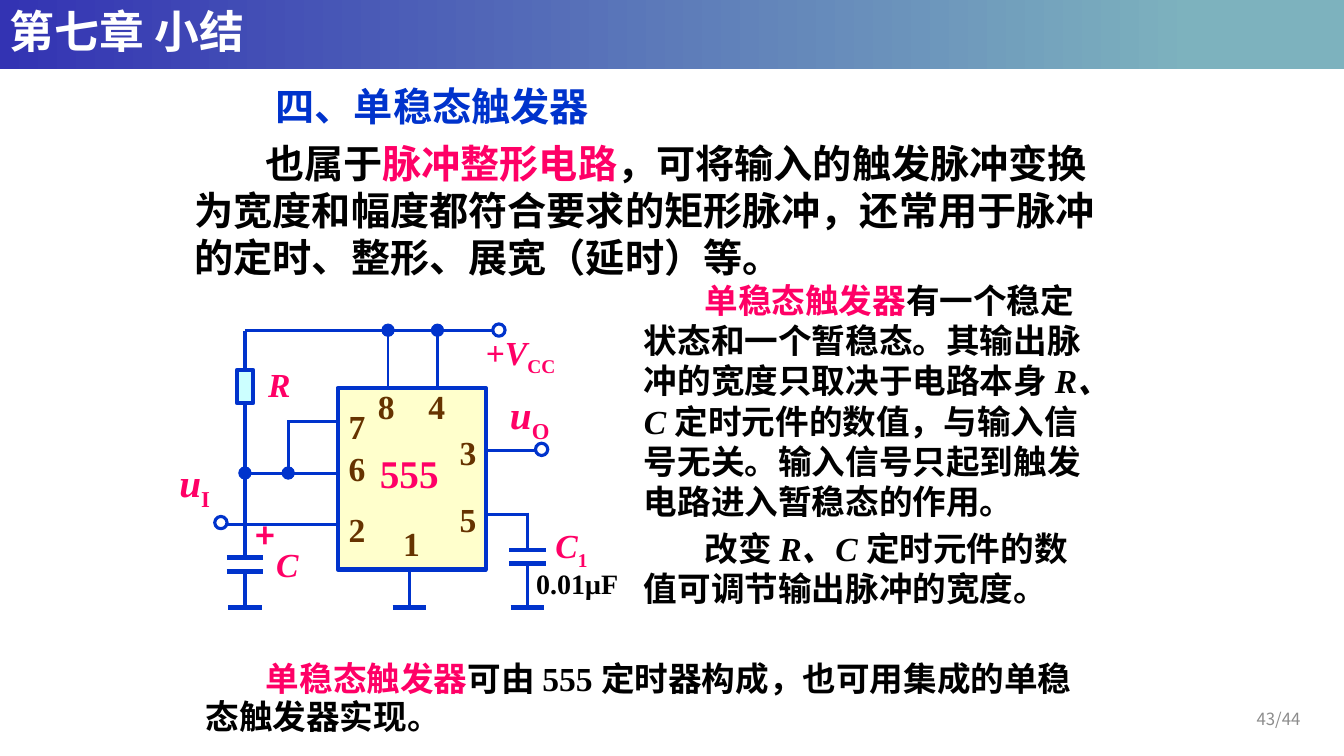
from collections import namedtuple

import pptx
import pptx.dml.color
import pptx.enum.shapes
import pptx.enum.text
import pptx.oxml
import pptx.util

Pt = pptx.util.Pt
SHAPES = pptx.enum.shapes.MSO_SHAPE
ANCHORS = pptx.enum.text.MSO_ANCHOR
ALIGN = pptx.enum.text.PP_ALIGN
Box = namedtuple("Box", "left top width height")
Run = namedtuple("Run", "text color italic sub", defaults=("000000", False, False))

SERIF, HAN = "Times New Roman", "Noto Sans CJK SC"
BLUE, PINK, BROWN, WHITE = "0033CC", "FF0066", "663300", "FFFFFF"


def color(value):
    return pptx.dml.color.RGBColor.from_string(value)


def add_run(para, run, size, face=SERIF, bold=True):
    span = para.add_run()
    span.text = run.text
    font = span.font
    font.size, font.name, font.bold, font.italic = Pt(size), face, bold, run.italic
    font.color.rgb = color(run.color)
    font.language_id = pptx.enum.lang.MSO_LANGUAGE_ID.SIMPLIFIED_CHINESE
    properties = font._element
    east = pptx.oxml.parse_xml(
        '<a:ea xmlns:a="http://schemas.openxmlformats.org/drawingml/2006/main" '
        f'typeface="{HAN}"/>')
    properties.find(pptx.oxml.ns.qn("a:latin")).addnext(east)
    if run.sub:
        properties.set("baseline", "-25000")


def add_text_box(page, box, margins=(7.2, 3.6)):
    shape = page.shapes.add_textbox(*map(Pt, box))
    frame = shape.text_frame
    frame.word_wrap = True
    frame.margin_left = frame.margin_right = Pt(margins[0])
    frame.margin_top = frame.margin_bottom = Pt(margins[1])
    return frame


def add_passage(page, box, paragraphs, size, indent=0, spacing=1.2):
    frame = add_text_box(page, box)
    frame.margin_top = Pt(3.6 + size / 10)
    for index, runs in enumerate(paragraphs):
        para = frame.add_paragraph() if index else frame.paragraphs[0]
        para.line_spacing = Pt(size * spacing)
        if indent and not index:
            para._p.get_or_add_pPr().set("indent", str(Pt(indent)))
        for run in runs:
            add_run(para, run, size)


def add_shape(page, kind, box, fill, line=BLUE, weight=3):
    shape = page.shapes.add_shape(kind, *map(Pt, box))
    shape.shadow.inherit = False
    shape.fill.solid()
    shape.fill.fore_color.rgb = color(fill)
    shape.line.color.rgb = color(line)
    shape.line.width = Pt(weight)


def add_wire(page, box, start, end, weight=2.25):
    wire = page.shapes.add_connector(
        pptx.enum.shapes.MSO_CONNECTOR.STRAIGHT,
        Pt(box.left + start[0]), Pt(box.top + start[1]),
        Pt(box.left + end[0]), Pt(box.top + end[1]))
    wire.line.color.rgb = color(BLUE)
    wire.line.width = Pt(weight)
    wire._element.spPr.append(pptx.oxml.parse_xml(
        '<a:effectLst xmlns:a="http://schemas.openxmlformats.org/drawingml/2006/main"/>'))


def add_node(page, box, center, fill, weight):
    radius = 4.4
    add_shape(page, SHAPES.OVAL,
              Box(box.left + center[0] - radius, box.top + center[1] - radius,
                  2 * radius, 2 * radius), fill, weight=weight)


def add_label(page, box, left, top, width, size, runs, face=SERIF):
    frame = add_text_box(page, Box(box.left + left, box.top + top, width, size * 1.2), (0, 0))
    for run in runs:
        add_run(frame.paragraphs[0], run, size, face)


def add_header(page, box):
    bar = page.shapes.add_shape(SHAPES.RECTANGLE, *map(Pt, box))
    bar.shadow.inherit = False
    bar.line.fill.background()
    bar.fill.gradient()
    bar.fill.gradient_angle = 0
    for stop, (position, tint) in zip(bar.fill.gradient_stops,
                                      [(0, "3333B3"), (0.89, "7DB2BE")]):
        stop.position = position
        stop.color.rgb = color(tint)
    frame = add_text_box(page, box)
    frame.vertical_anchor = ANCHORS.MIDDLE
    frame.paragraphs[0].line_spacing = 0.9
    add_run(frame.paragraphs[0], Run("第七章 小结", WHITE), 32, "Cabin")


def add_circuit(page, box):
    rail, left, loop, mid, right = 8.2, 55, 85.9, 172.5, 256.8
    chip = Box(121.2, 49.2, 105.8, 129.6)
    ground = 206
    capacitors = [(left, 170.2, 180.2), (right, 165.1, 174.5)]

    for start, end, weight in [
        ((157.2, rail), (157.2, chip.top), 2),
        ((192.5, rail), (192.5, chip.top), 2),
        ((left, rail), (232.8, rail), 2.25),
        ((left, 110.4), (chip.left, 110.4), 2.25),
        ((39.1, 146.4), (chip.left, 146.4), 2.25),
        ((loop, 73), (chip.left, 73), 2.25),
        ((loop, 110.4), (loop, 72), 2),
        ((mid, 177.4), (mid, ground), 2),
        ((left, rail), (left, 170.2), 2.25),
        ((227, 93.8), (263, 93.8), 2.25),
        ((227, 139.2), (right, 139.2), 2.25),
        ((right, 138.2), (right, 165.1), 2.25),
    ]:
        add_wire(page, box, start, end, weight)
    for center, upper, lower in capacitors:
        for plate in (upper, lower):
            add_wire(page, box, (center - 13, plate), (center + 13, plate), 3)
        add_wire(page, box, (center, lower), (center, ground))
    for center in (left, mid, right):
        add_wire(page, box, (center - 12, ground), (center + 12, ground), 3)

    resistor = Box(49.2, 36.2, 11.6, 23.8)
    for part, fill in [(chip, "FFFFCC"), (resistor, "CCFFFF")]:
        add_shape(page, SHAPES.RECTANGLE,
                  part._replace(left=box.left + part.left, top=box.top + part.top), fill)
    for joint in [(loop, 109.9), (left, 109.9), (192.5, rail - 0.3), (157.2, rail - 0.3)]:
        add_node(page, box, joint, BLUE, 0.75)
    for terminal in [(236.4, rail - 0.4), (266.9, 93), (37.8, 145.3)]:
        add_node(page, box, terminal, WHITE, 2.25)

    for pin, x, y in [("7", 129.1, 62.2), ("6", 129.1, 91.7), ("2", 129.1, 135.6),
                      ("8", 150, 47.8), ("4", 186, 47.8), ("1", 168, 145.7),
                      ("3", 208.3, 80.2), ("5", 208.3, 128.4)]:
        add_label(page, box, x, y, 13, 24, [Run(pin, BROWN)])
    add_label(page, box, 151.4, 93.1, 44, 28, [Run("555", PINK)])
    add_label(page, box, 62.2, 140, 30, 24, [Run("+", PINK)], HAN)
    add_label(page, box, 263, 176.6, 64, 20, [Run("0.01μF")])
    for symbol, sub, x, y, size in [("R", "", 71.5, 31.9, 24), ("C", "", 77.3, 160.8, 24),
                                    ("C", "1", 276.7, 147.1, 24), ("u", "O", 244.3, 50.6, 28),
                                    ("u", "I", 8.2, 99.6, 28)]:
        runs = [Run(symbol, PINK, True)]
        if sub:
            runs.append(Run(sub, PINK, sub=True))
        add_label(page, box, x, y, 36, size, runs)
    add_label(page, box, 227, 8.9, 60, 24,
              [Run("+", PINK), Run("V", PINK, True), Run("CC", PINK, sub=True)])


def add_introduction(page, box):
    add_passage(page, Box(box.left + 58, box.top, 362, 41), [[Run("四、单稳态触发器", BLUE)]], 28)
    add_passage(page, Box(box.left, box.top + 40.3, box.width, 108), [
        [Run("也属于"), Run("脉冲整形电路", PINK),
         Run("，可将输入的触发脉冲变换为宽度和幅度都符合要求的矩形脉冲，还常用于脉冲")],
        [Run("的定时、整形、展宽（延时）等。")],
    ], 28, 50.4)


def add_explanation(page, box):
    add_passage(page, box._replace(height=180), [
        [Run("单稳态触发器", PINK), Run("有一个稳定")],
        [Run("状态和一个暂稳态。其输出脉")],
        [Run("冲的宽度只取决于电路本身 "), Run("R、", italic=True)],
        [Run("C ", italic=True), Run("定时元件的数值，与输入信")],
        [Run("号无关。输入信号只起到触发")],
        [Run("电路进入暂稳态的作用。")],
    ], 24, 43.2)
    add_passage(page, box._replace(top=box.top + 177.1, height=65), [
        [Run("改变 "), Run("R、C ", italic=True), Run("定时元件的数")],
        [Run("值可调节输出脉冲的宽度。")],
    ], 24, 43.2)


def add_conclusion(page, box):
    add_passage(page, box, [
        [Run("单稳态触发器", PINK),
         Run("可由 555 定时器构成，也可用集成的单稳态触发器实现。")],
    ], 24, 43.2, 1.14)


def add_page_number(page, box):
    frame = add_text_box(page, box)
    frame.vertical_anchor = ANCHORS.MIDDLE
    frame.paragraphs[0].alignment = ALIGN.RIGHT
    add_run(frame.paragraphs[0], Run("43/44", "8C8C8C"), 12, HAN, False)


def main():
    deck = pptx.Presentation()
    deck.slide_width, deck.slide_height = Pt(960), Pt(540)
    page = deck.slides.add_slide(deck.slide_layouts[6])
    add_header(page, Box(0, 0, 960, 49))
    add_introduction(page, Box(131.8, 52.6, 672, 148))
    add_circuit(page, Box(120, 228, 330, 208))
    add_explanation(page, Box(452.9, 193.7, 397.4, 242))
    add_conclusion(page, Box(139.7, 465.1, 648, 62))
    add_page_number(page, Box(841.7, 499, 94.3, 28.8))
    deck.save("out.pptx")


if __name__ == "__main__":
    import pptx.enum.lang
    main()
